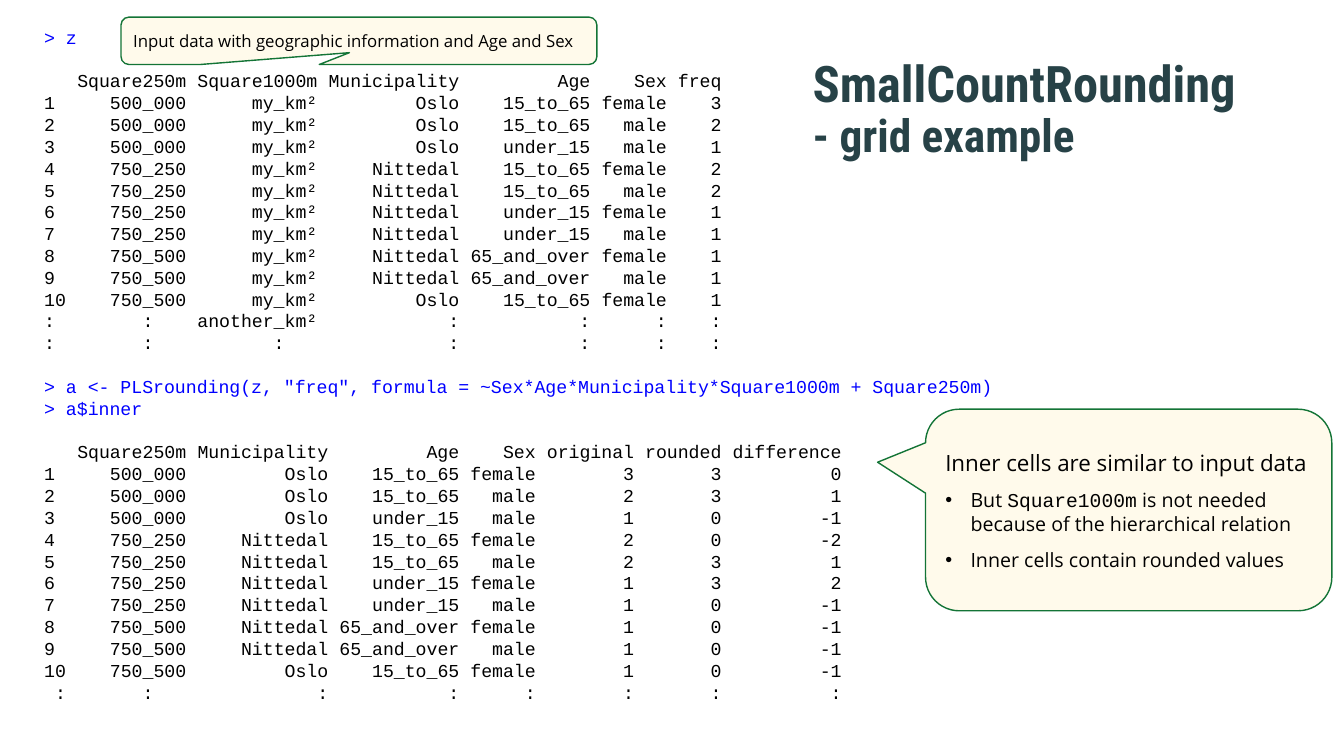
from lxml import etree
from pptx import Presentation
from pptx import util as u
from pptx.dml.color import RGBColor
from pptx.enum import shapes, text
from pptx.oxml import ns

BLACK = RGBColor(0x00, 0x00, 0x00)
BLUE = RGBColor(0x00, 0x00, 0xFF)
SLATE = RGBColor(0x27, 0x42, 0x47)
CREAM = RGBColor(0xFF, 0xFA, 0xEB)
GREEN = RGBColor(0x13, 0x74, 0x36)
MONO, SANS, CONDENSED = "Courier New", "Open Sans", "Roboto Condensed"

CODE_SIZE = 13
CHAR_WIDTH = 0.6 * CODE_SIZE
LINE_HEIGHT = 1.2 * CODE_SIZE

PEOPLE = [
    ("500_000", "Oslo", "15_to_65", "female", 3, 3),
    ("500_000", "Oslo", "15_to_65", "male", 2, 3),
    ("500_000", "Oslo", "under_15", "male", 1, 0),
    ("750_250", "Nittedal", "15_to_65", "female", 2, 0),
    ("750_250", "Nittedal", "15_to_65", "male", 2, 3),
    ("750_250", "Nittedal", "under_15", "female", 1, 3),
    ("750_250", "Nittedal", "under_15", "male", 1, 0),
    ("750_500", "Nittedal", "65_and_over", "female", 1, 0),
    ("750_500", "Nittedal", "65_and_over", "male", 1, 0),
    ("750_500", "Oslo", "15_to_65", "female", 1, 0),
]
INPUT_HEAD = ["", "Square250m", "Square1000m", "Municipality", "Age", "Sex", "freq"]
INPUT_STOPS = [13, 25, 38, 50, 57, 62]
INNER_HEAD = ["", "Square250m", "Municipality", "Age", "Sex",
              "original", "rounded", "difference"]
INNER_STOPS = [13, 26, 38, 45, 54, 62, 73]


def add_run(p, words, font, size, color, bold=False):
    r = p.add_run()
    r.text = words
    r.font.name = font
    r.font.size = u.Pt(size)
    r.font.color.rgb = color
    r.font.bold = bold


def next_paragraph(tf):
    p = tf.paragraphs[0]
    return tf.add_paragraph() if p.runs else p


def add_code_line(tf, cells, stops=(), color=BLACK, gap=False):
    p = next_paragraph(tf)
    p.alignment = text.PP_ALIGN.LEFT
    p.line_spacing = u.Pt(LINE_HEIGHT)
    p.space_before = u.Pt(LINE_HEIGHT if gap else 0)
    if stops:
        tabs = etree.SubElement(p._p.get_or_add_pPr(), ns.qn("a:tabLst"))
        for stop in stops:
            etree.SubElement(tabs, ns.qn("a:tab"),
                             pos=str(u.Pt(stop * CHAR_WIDTH)), algn="r")
    add_run(p, "\t".join(str(cell) for cell in cells), MONO, CODE_SIZE, color)


def add_console(s, left, top, width, height):
    tf = s.shapes.add_textbox(*map(u.Inches, (left, top, width, height))).text_frame
    tf.word_wrap = True
    add_code_line(tf, ["> z"], color=BLUE)
    add_code_line(tf, INPUT_HEAD, INPUT_STOPS, gap=True)
    for n, (square, town, age, sex, freq, _) in enumerate(PEOPLE, 1):
        add_code_line(tf, [n, square, "my_km²", town, age, sex, freq], INPUT_STOPS)
    add_code_line(tf, [":", ":", "another_km²"] + [":"] * 4, [10] + INPUT_STOPS[1:])
    add_code_line(tf, [":"] * 7, [10, 22] + INPUT_STOPS[2:])

    add_code_line(tf, ['> a <- PLSrounding(z, "freq", formula = '
                       "~Sex*Age*Municipality*Square1000m + Square250m)"],
                  color=BLUE, gap=True)
    add_code_line(tf, ["> a$inner"], color=BLUE)
    add_code_line(tf, INNER_HEAD, INNER_STOPS, gap=True)
    for n, person in enumerate(PEOPLE, 1):
        original, rounded = person[-2:]
        add_code_line(tf, [n, *person, rounded - original], INNER_STOPS)
    add_code_line(tf, [""] + [":"] * 8, [2, 10] + INNER_STOPS[1:])


def add_title(s, left, top, width, height):
    sp = s.shapes.title
    sp.left, sp.top, sp.width, sp.height = map(u.Inches, (left, top, width, height))
    tf = sp.text_frame
    tf.auto_size = text.MSO_AUTO_SIZE.NONE
    tf.vertical_anchor = text.MSO_ANCHOR.MIDDLE
    tf.margin_left = tf.margin_right = u.Inches(0.1)
    tf.margin_top, tf.margin_bottom = 0, u.Inches(0.05)
    p = tf.paragraphs[0]
    p.alignment = text.PP_ALIGN.LEFT
    p.line_spacing = 0.9
    add_run(p, "SmallCountRounding", CONDENSED, 36, SLATE, True)
    p.add_line_break()
    add_run(p, "- grid example", CONDENSED, 32.4, SLATE, True)


def add_callout(s, left, top, width, height, tip):
    sp = s.shapes.add_shape(shapes.MSO_SHAPE.ROUNDED_RECTANGULAR_CALLOUT,
                            *map(u.Inches, (left, top, width, height)))
    sp.adjustments[0], sp.adjustments[1] = tip
    sp.adjustments[2] = 0.167
    sp.shadow.inherit = False
    sp.fill.solid()
    sp.fill.fore_color.rgb = CREAM
    sp.line.color.rgb = GREEN
    sp.line.width = u.Pt(1)
    tf = sp.text_frame
    tf.word_wrap = True
    tf.vertical_anchor = text.MSO_ANCHOR.MIDDLE
    return tf


def add_note(tf, parts, size, bullet=False):
    p = next_paragraph(tf)
    p.alignment = text.PP_ALIGN.LEFT
    p.space_after = u.Pt(9)
    if bullet:
        pPr = p._p.get_or_add_pPr()
        pPr.set("marL", str(u.Inches(0.25)))
        pPr.set("indent", str(u.Inches(-0.25)))
        etree.SubElement(pPr, ns.qn("a:buFont"), typeface="Arial")
        etree.SubElement(pPr, ns.qn("a:buChar"), char="•")
    for words, font in parts:
        add_run(p, words, font, size, BLACK)


def add_input_callout(s, left, top, width, height):
    tf = add_callout(s, left, top, width, height, (-0.02, 0.251))
    add_note(tf, [("Input data with geographic information and Age and Sex", SANS)], 12)


def add_inner_callout(s, left, top, width, height):
    tf = add_callout(s, left, top, width, height, (-0.618, -0.237))
    add_note(tf, [("Inner cells are similar to input data", SANS)], 16)
    add_note(tf, [("But ", SANS), ("Square1000m", MONO),
                  (" is not needed because of the hierarchical relation", SANS)], 14, True)
    add_note(tf, [("Inner cells contain rounded values", SANS)], 14, True)


def main():
    prs = Presentation()
    prs.slide_width, prs.slide_height = u.Inches(13.33), u.Inches(7.5)
    s = prs.slides.add_slide(prs.slide_layouts[5])
    add_console(s, 0.34, 0.21, 12.99, 7.1)
    add_title(s, 7.96, 0.41, 4.4, 1.43)
    add_input_callout(s, 1.2, 0.17, 4.72, 0.47)
    add_inner_callout(s, 9.18, 4.06, 4.03, 2)
    prs.save("out.pptx")


if __name__ == "__main__":
    main()
